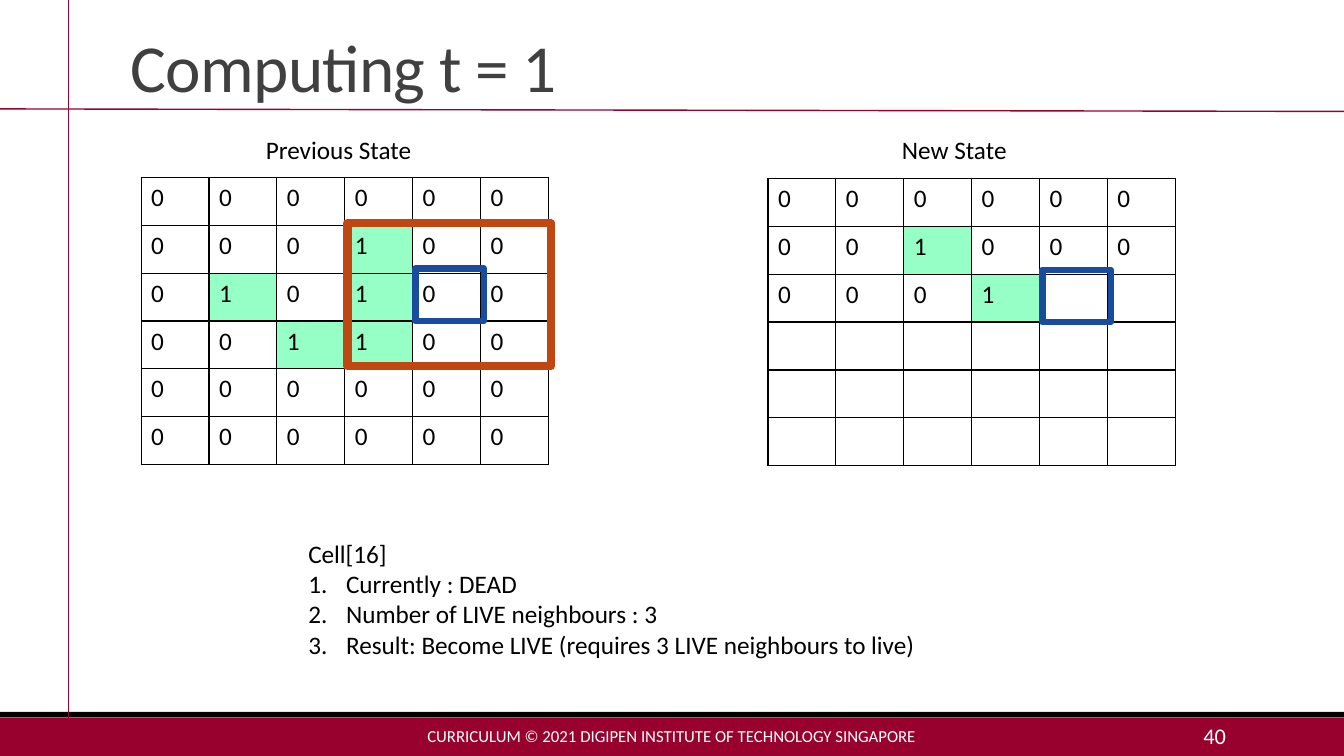
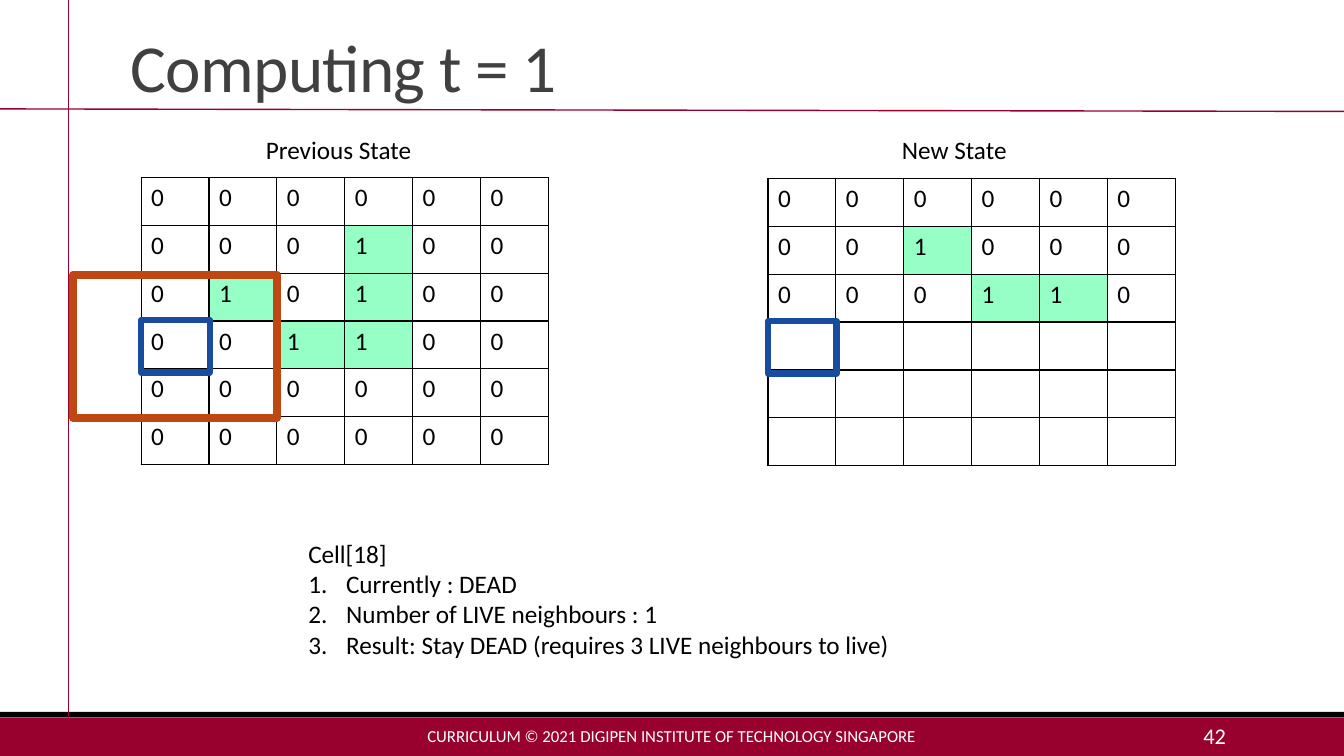
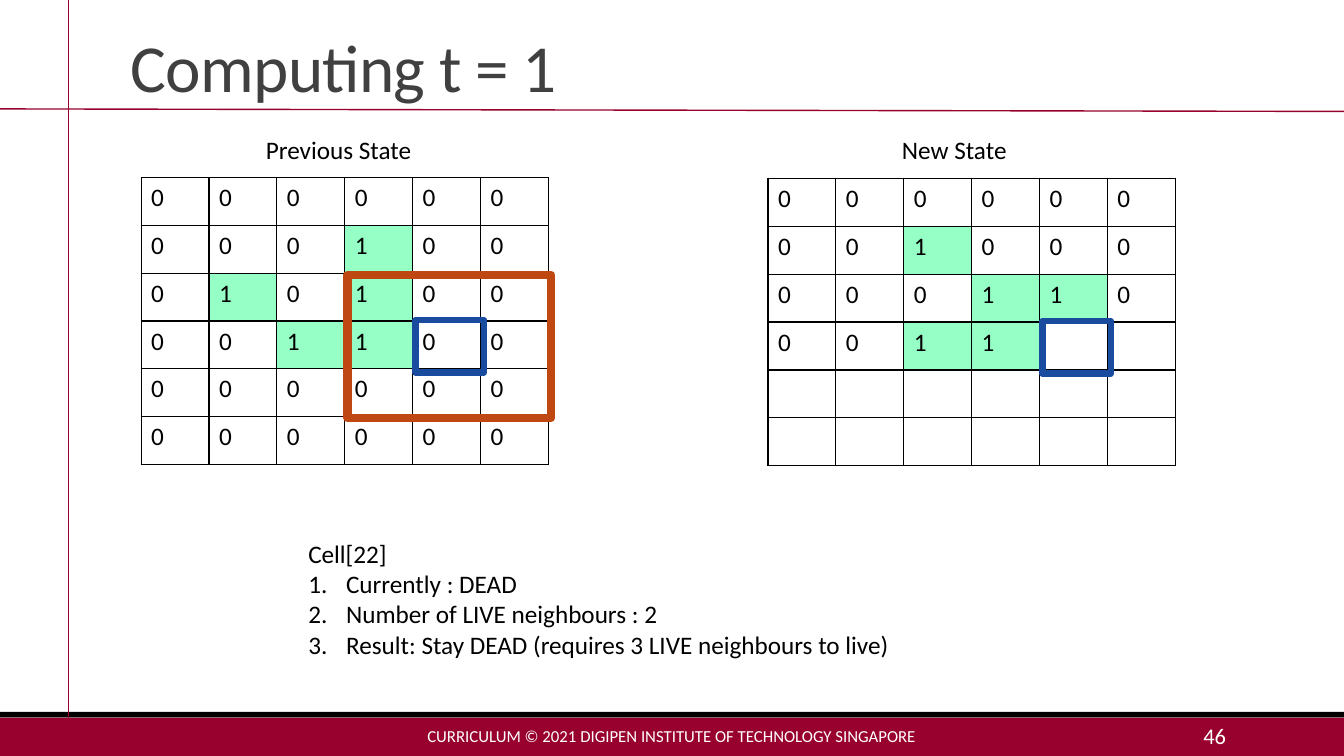
from dataclasses import dataclass
from lxml.etree import SubElement
from pptx import Presentation
from pptx.dml.color import RGBColor
from pptx.enum.shapes import MSO_CONNECTOR, MSO_SHAPE
from pptx.enum.text import MSO_ANCHOR, PP_ALIGN
from pptx.oxml.ns import qn
from pptx.util import Pt


@dataclass(frozen=True)
class Theme:
    font: str = "Calibri"
    maroon: str = "98012E"
    black: str = "000000"
    white: str = "FFFFFF"
    heading: str = "404040"
    live: str = "96FFC6"
    neighbours: str = "BE4712"
    current: str = "194C9F"
    title_size: float = 48
    body_size: float = 18
    number_size: float = 16
    footer_size: float = 12


theme = Theme()


def write(frame, text, size=theme.body_size, color=theme.black, align=PP_ALIGN.LEFT,
          anchor=None, line_spacing=None, tracking=None, numbered=False):
    """Fill a text frame; with numbered, every line after the first gets a number."""
    frame.word_wrap = True
    if anchor is not None:
        frame.vertical_anchor = anchor
    for position, line in enumerate(text.split("\n")):
        paragraph = frame.add_paragraph() if position else frame.paragraphs[0]
        if numbered and position:
            properties = paragraph._p.get_or_add_pPr()
            properties.set("marL", str(Pt(27)))
            properties.set("indent", str(-Pt(27)))
            SubElement(properties, qn("a:buAutoNum"), type="arabicPeriod")
        paragraph.alignment = align
        if line_spacing:
            paragraph.line_spacing = line_spacing
        run = paragraph.add_run()
        run.text = line
        run.font.name = theme.font
        run.font.size = Pt(size)
        run.font.color.rgb = RGBColor.from_string(color)
        if tracking:
            run._r.get_or_add_rPr().set("spc", str(round(tracking * 100)))


def add_rectangle(slide, left, top, width, height, fill=None, line=None, weight=0):
    rectangle = slide.shapes.add_shape(
        MSO_SHAPE.RECTANGLE, Pt(left), Pt(top), Pt(width), Pt(height))
    rectangle.shadow.inherit = False
    if fill:
        rectangle.fill.solid()
        rectangle.fill.fore_color.rgb = RGBColor.from_string(fill)
    else:
        rectangle.fill.background()
    if line:
        rectangle.line.color.rgb = RGBColor.from_string(line)
        rectangle.line.width = Pt(weight)
    else:
        rectangle.line.fill.background()


# Content: cells are counted row by row from 0
GRID_SIZE = 6
previous_state = "000000" "000100" "010100" "001100" "000000" "000000"
new_state = "000000" "001000" "000110" "0011"
# Page, current cell, live neighbours, result, lift of the frames above the row
steps = [
    (40, 16, 3, "Become LIVE", 3.3),
    (42, 18, 1, "Stay DEAD", 0.6),
    (46, 22, 2, "Stay DEAD", 0.6),
]

# Geometry in points
SLIDE_WIDTH, SLIDE_HEIGHT = 960, 540
COLUMN_WIDTH, ROW_HEIGHT = 48.5, 34.2
FRAME_PITCH = 49
FRAME_WIDTH, FRAME_HEIGHT = 49, 37.4

deck = Presentation()
deck.slide_width, deck.slide_height = Pt(SLIDE_WIDTH), Pt(SLIDE_HEIGHT)

for page, current_cell, live_neighbours, result, lift in steps:
    slide = deck.slides.add_slide(deck.slide_layouts[6])

    # Footer bands and rules
    add_rectangle(slide, 0, 512.6, SLIDE_WIDTH, 27.4, fill=theme.maroon)
    add_rectangle(slide, 0, 508.5, SLIDE_WIDTH, 4, fill=theme.black)
    for start_x, start_y, end_x, end_y in [(49, 0, 49, 512.6), (0, 77.8, SLIDE_WIDTH, 79.6)]:
        rule = slide.shapes.add_connector(
            MSO_CONNECTOR.STRAIGHT, Pt(start_x), Pt(start_y), Pt(end_x), Pt(end_y))
        rule.line.color.rgb = RGBColor.from_string(theme.maroon)
        rule.line.width = Pt(1)
        SubElement(rule._element.spPr, qn("a:effectLst"))

    # Title, footer, page number, table captions and explanation
    explanation = (f"Cell[{current_cell}]\n"
                   "Currently : DEAD\n"
                   f"Number of LIVE neighbours : {live_neighbours}\n"
                   f"Result: {result} (requires 3 LIVE neighbours to live)")
    footer_format = dict(color=theme.white, anchor=MSO_ANCHOR.MIDDLE)
    for left, top, width, height, text, text_format in [
        (86.4, 11.5, 792, 67.7, "Computing t = 1",
         dict(size=theme.title_size, color=theme.heading, anchor=MSO_ANCHOR.BOTTOM,
              line_spacing=0.85, tracking=-0.5)),
        (290.2, 511.2, 379.4, 28.8,
         "CURRICULUM © 2021 DIGIPEN INSTITUTE OF TECHNOLOGY SINGAPORE",
         dict(size=theme.footer_size, align=PP_ALIGN.CENTER, **footer_format)),
        (779.8, 511.2, 103, 28.8, str(page),
         dict(size=theme.number_size, align=PP_ALIGN.RIGHT, **footer_format)),
        (182.9, 92.2, 126.7, 28.8, "Previous State", {}),
        (637.2, 92.2, 126.7, 28.8, "New State", {}),
        (213.1, 380.9, 550.8, 94.3, explanation, dict(numbered=True)),
    ]:
        box = slide.shapes.add_textbox(Pt(left), Pt(top), Pt(width), Pt(height))
        write(box.text_frame, text, **text_format)

    # State grids, with the current cell framed in each
    row, column = divmod(current_cell, GRID_SIZE)
    for left, top, state, has_neighbours in [
        (100.8, 126.7, previous_state, True),
        (548.6, 127.5, new_state[:current_cell], False),
    ]:
        grid = slide.shapes.add_table(
            GRID_SIZE, GRID_SIZE, Pt(left), Pt(top),
            Pt(COLUMN_WIDTH * GRID_SIZE), Pt(ROW_HEIGHT * GRID_SIZE)).table
        grid.first_row = grid.horz_banding = False
        for grid_column in grid.columns:
            grid_column.width = Pt(COLUMN_WIDTH)
        for grid_row in grid.rows:
            grid_row.height = Pt(ROW_HEIGHT)
        for index, cell in enumerate(grid.iter_cells()):
            value = state[index:index + 1]
            for side in ("a:lnL", "a:lnR", "a:lnT", "a:lnB"):
                border = SubElement(cell._tc.get_or_add_tcPr(), qn(side), w=str(Pt(1)))
                SubElement(SubElement(border, qn("a:solidFill")), qn("a:srgbClr"),
                           val=theme.black)
            cell.fill.solid()
            cell.fill.fore_color.rgb = RGBColor.from_string(
                theme.live if value == "1" else theme.white)
            if value:
                write(cell.text_frame, value)

        frame_left = left + column * FRAME_PITCH
        frame_top = top + row * ROW_HEIGHT - lift
        if has_neighbours:
            add_rectangle(slide, frame_left - 48.5, frame_top - 32.4, 145.4, 102.2,
                          line=theme.neighbours, weight=6)
        add_rectangle(slide, frame_left, frame_top, FRAME_WIDTH, FRAME_HEIGHT,
                      line=theme.current, weight=4.5)

deck.save("out.pptx")
